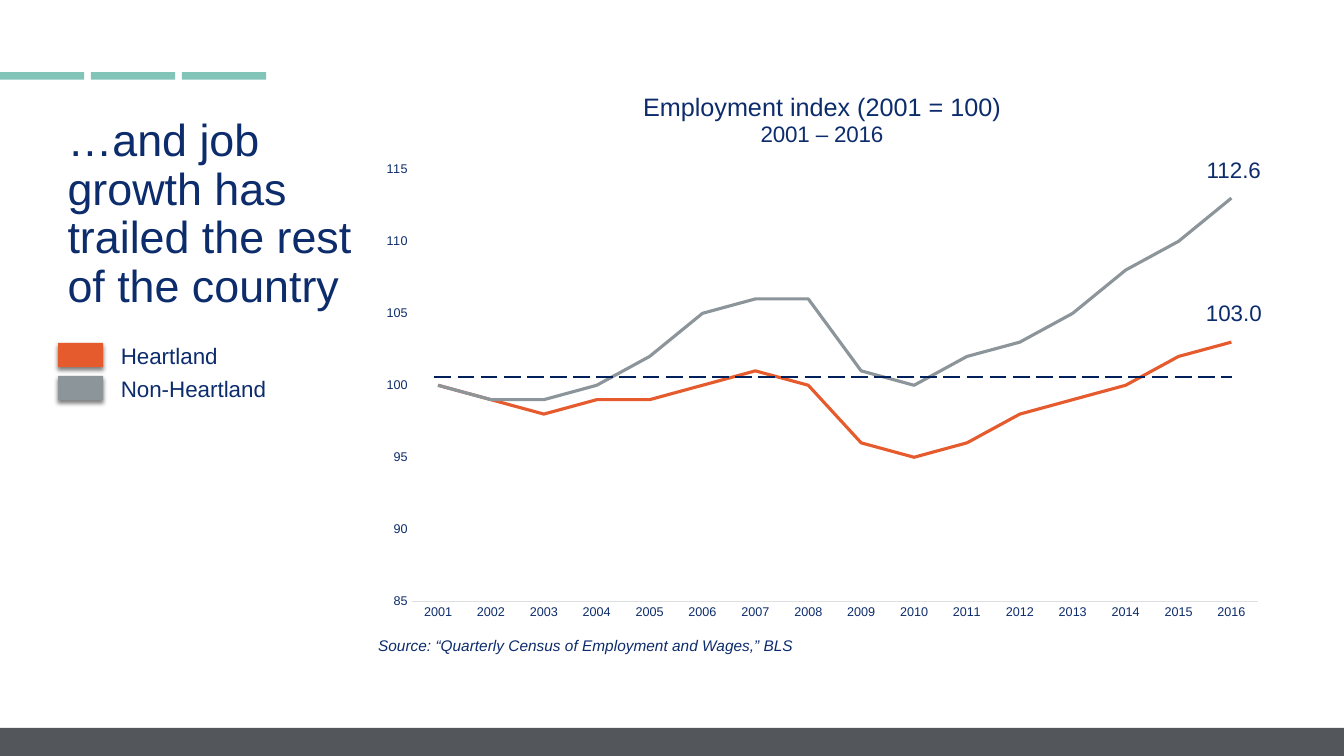
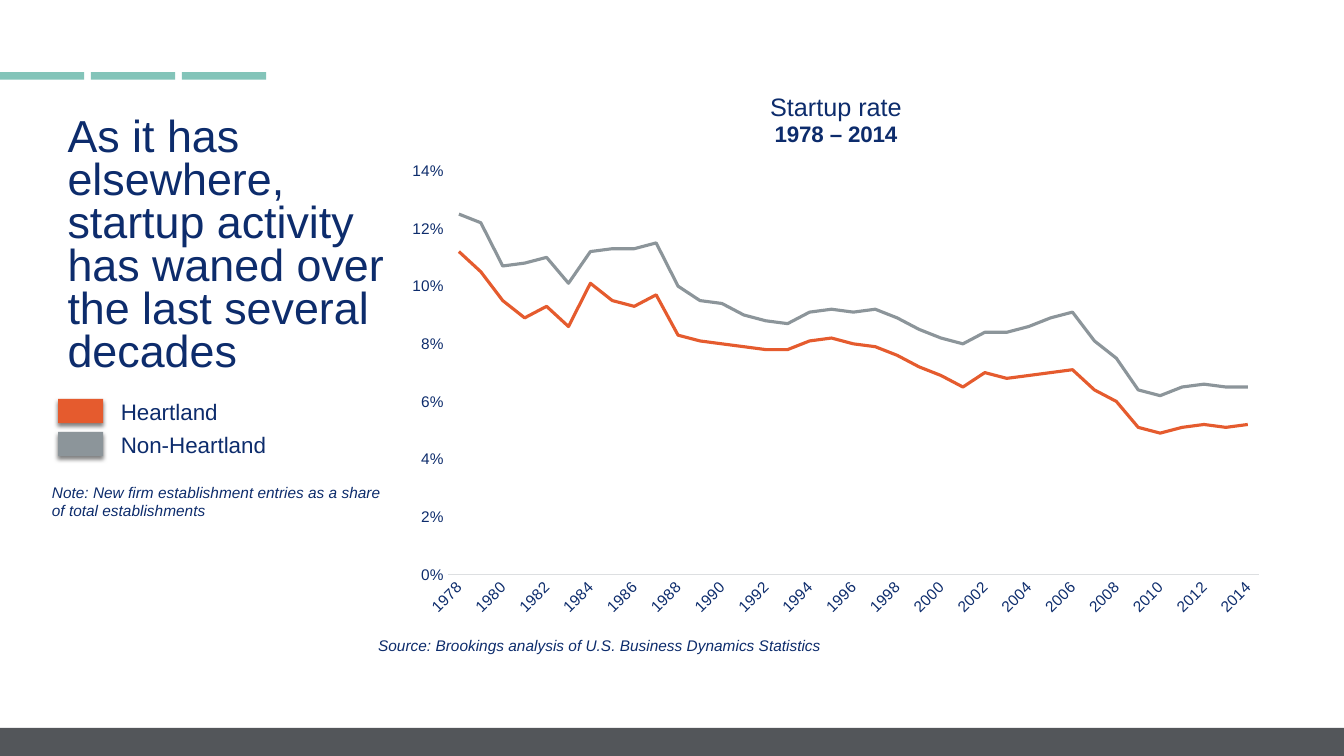
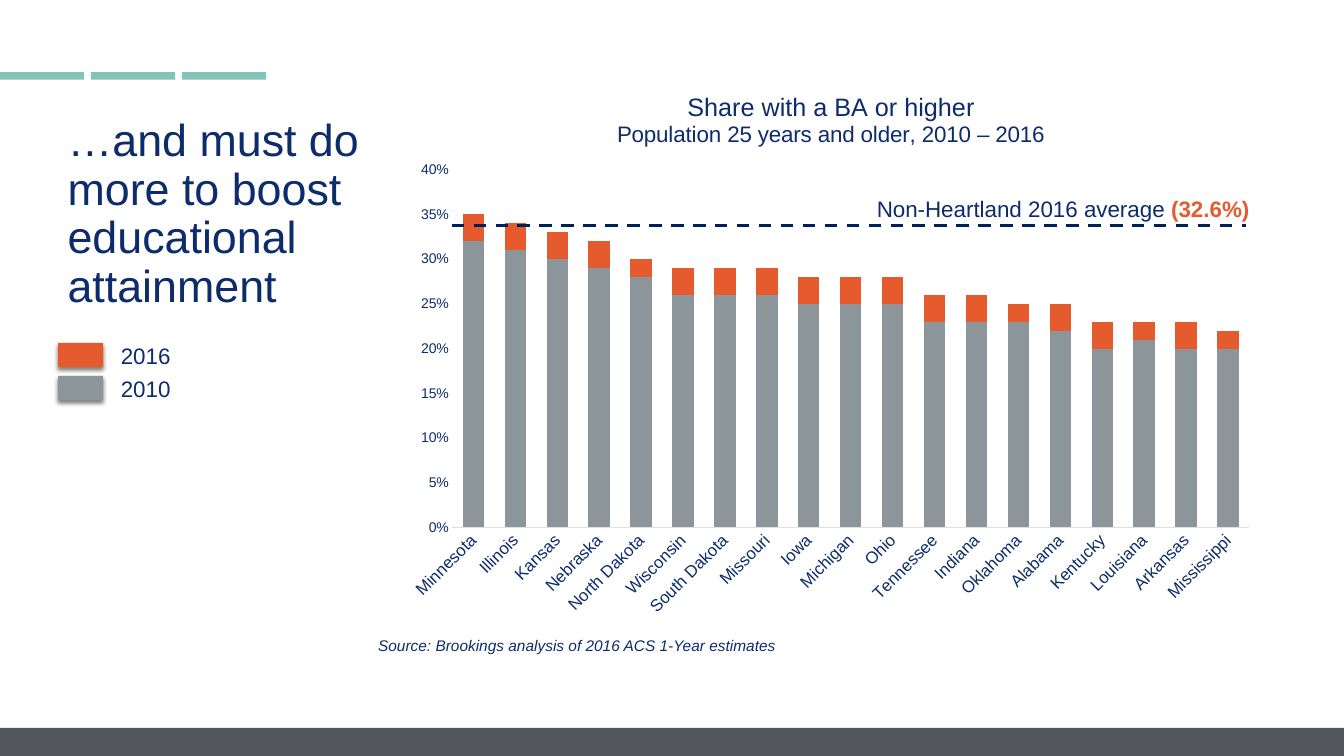
from lxml import etree
from pptx import Presentation
from pptx.chart.data import CategoryChartData
from pptx.dml.color import RGBColor
from pptx.enum.chart import XL_CHART_TYPE, XL_MARKER_STYLE, XL_TICK_MARK
from pptx.enum.dml import MSO_LINE
from pptx.enum.shapes import MSO_CONNECTOR, MSO_SHAPE
from pptx.enum.text import MSO_ANCHOR, PP_ALIGN
from pptx.oxml import parse_xml
from pptx.oxml.ns import nsdecls, qn
from pptx.util import Pt

RECTANGLE = MSO_SHAPE.RECTANGLE
STRAIGHT = MSO_CONNECTOR.STRAIGHT
LINE, STACKED = XL_CHART_TYPE.LINE, XL_CHART_TYPE.COLUMN_STACKED
NO_TICK, NO_MARKER = XL_TICK_MARK.NONE, XL_MARKER_STYLE.NONE
DASH, LONG_DASH = MSO_LINE.DASH, MSO_LINE.LONG_DASH
LEFT, CENTER = PP_ALIGN.LEFT, PP_ALIGN.CENTER
TOP, MIDDLE = MSO_ANCHOR.TOP, MSO_ANCHOR.MIDDLE

FONT = "Arial"
COLORS = {"text": "0D2C6C", "orange": "E55B2E", "gray": "8C959A", "teal": "83C4B9",
          "footer": "53565A", "axis": "DDDFE1", "dash": "00205B"}
SLIDE_WIDTH, SLIDE_HEIGHT = 960, 540


def rgb(name):
    return RGBColor.from_string(COLORS[name])


class Deck:
    def __init__(self):
        self.presentation = Presentation()
        self.presentation.slide_width = Pt(SLIDE_WIDTH)
        self.presentation.slide_height = Pt(SLIDE_HEIGHT)
        self.slide = None

    def new_slide(self, title, title_height, spacing, source):
        """Add a slide with the shared bars, title, source line and footer."""
        self.slide = self.presentation.slides.add_slide(self.presentation.slide_layouts[6])
        self.rectangle(0, 520, SLIDE_WIDTH, 20, "footer")
        for index in range(3):
            self.rectangle(65 * index, 51.5, 60.2, 5.4, "teal")
        self.text(title, 41.2, 80.8, 241.2, title_height, size=32, spacing=spacing)
        self.text(source, 263, 450.7, 489, 20.6, size=11, italic=True)

    def rectangle(self, left, top, width, height, color, shadow=False):
        shape = self.slide.shapes.add_shape(RECTANGLE, Pt(left), Pt(top), Pt(width), Pt(height))
        shape.fill.solid()
        shape.fill.fore_color.rgb = rgb(color)
        shape.line.fill.background()
        shape.shadow.inherit = False
        if shadow:
            effects = shape.element.spPr.find(qn("a:effectLst"))
            effects.append(parse_xml(
                f'<a:outerShdw {nsdecls("a")} blurRad="{Pt(3)}" dist="{Pt(2)}" dir="5400000" '
                'algn="ctr" rotWithShape="0"><a:srgbClr val="000000"><a:alpha val="50000"/>'
                '</a:srgbClr></a:outerShdw>'))

    def text(self, text, left, top, width, height, size=16, italic=False, align=LEFT,
             anchor=TOP, spacing=None, inset=None, highlight=None):
        box = self.slide.shapes.add_textbox(Pt(left), Pt(top), Pt(width), Pt(height))
        frame = box.text_frame
        frame.word_wrap = True
        frame.vertical_anchor = anchor
        if inset is not None:
            frame.margin_left = frame.margin_right = Pt(inset)
            frame.margin_top = frame.margin_bottom = Pt(inset)
        paragraph = frame.paragraphs[0]
        paragraph.alignment = align
        if spacing:
            paragraph.line_spacing = spacing
        self.style(paragraph.font, size, italic=italic)
        paragraph.add_run().text = text
        if highlight:
            run = paragraph.add_run()
            run.text = highlight
            run.font.bold = True
            run.font.color.rgb = rgb("orange")

    def style(self, font, size, bold=False, italic=False):
        font.name = FONT
        font.size = Pt(size)
        font.bold = bold
        font.italic = italic
        font.color.rgb = rgb("text")

    def legend(self, top, labels):
        for index, (label, color) in enumerate(zip(labels, ("orange", "gray"))):
            row_top = top + 23.5 * index
            self.rectangle(41.5, row_top + 5, 32.2, 17.3, color, shadow=True)
            self.text(label, 82, row_top, 180, 27.4, anchor=MIDDLE, inset=4.3)

    def dashed_line(self, start, end, y, width, dash):
        connector = self.slide.shapes.add_connector(STRAIGHT, Pt(start), Pt(y), Pt(end), Pt(y))
        connector.line.color.rgb = rgb("dash")
        connector.line.width = Pt(width)
        connector.line.dash_style = dash
        etree.SubElement(connector.element.spPr, qn("a:effectLst"))

    def chart(self, kind, frame, plot_frame, titles, categories, series, scale, number_format,
              sizes, subtitle_bold=False, slanted=False, label_step=1):
        """Frames are left, top, width, height; scale is minimum, maximum, step."""
        data = CategoryChartData(number_format=number_format)
        data.categories = categories
        for index, (values, _) in enumerate(series, 1):
            data.add_series(f"Series {index}", values)
        chart = self.slide.shapes.add_chart(kind, *map(Pt, frame), data).chart
        chart.has_legend = False
        self.style(chart.font, sizes[1])

        # Title in two lines
        chart.has_title = True
        title_frame = chart.chart_title.text_frame
        lines = zip(titles, (18, 16), (False, subtitle_bold))
        for index, (line, size, bold) in enumerate(lines):
            paragraph = title_frame.add_paragraph() if index else title_frame.paragraphs[0]
            run = paragraph.add_run()
            run.text = line
            self.style(run.font, size, bold)

        # Axes
        category_axis, value_axis = chart.category_axis, chart.value_axis
        for axis, size in zip((category_axis, value_axis), sizes):
            axis.major_tick_mark = axis.minor_tick_mark = NO_TICK
            axis.has_major_gridlines = False
            self.style(axis.tick_labels.font, size)
        category_axis.format.line.color.rgb = rgb("axis")
        category_axis.format.line.width = Pt(0.75)
        value_axis.format.line.fill.background()
        value_axis.minimum_scale, value_axis.maximum_scale, value_axis.major_unit = scale
        value_axis.tick_labels.number_format = number_format
        value_axis.tick_labels.number_format_is_linked = False

        # Series
        plot = chart.plots[0]
        plot.vary_by_categories = False
        for item, (_, color) in zip(plot.series, series):
            if kind == LINE:
                item.smooth = False
                item.marker.style = NO_MARKER
                item.format.line.color.rgb = rgb(color)
                item.format.line.width = Pt(2.25)
            else:
                item.format.fill.solid()
                item.format.fill.fore_color.rgb = rgb(color)
        if kind == STACKED:
            plot.gap_width, plot.overlap = 96, 100

        # Label angle, label step and plot position
        plot_area = chart.element.xpath("c:chart/c:plotArea")[0]
        axis_element = plot_area.find(qn("c:catAx"))
        if slanted:
            axis_element.xpath("c:txPr/a:bodyPr")[0].set("rot", "-2700000")
        if label_step > 1:
            skip = parse_xml(f'<c:tickLblSkip {nsdecls("c")} val="{label_step}"/>')
            axis_element.find(qn("c:noMultiLvlLbl")).addprevious(skip)
        for layout in plot_area.findall(qn("c:layout")):
            plot_area.remove(layout)
        left, top, width, height = frame
        plot_left, plot_top, plot_width, plot_height = plot_frame
        fractions = {"x": (plot_left - left) / width, "y": (plot_top - top) / height,
                     "w": plot_width / width, "h": plot_height / height}
        places = "".join(f'<c:{key} val="{value:.4f}"/>' for key, value in fractions.items())
        plot_area.insert(0, parse_xml(
            f'<c:layout {nsdecls("c")}><c:manualLayout><c:layoutTarget val="inner"/>'
            f'<c:xMode val="edge"/><c:yMode val="edge"/>{places}</c:manualLayout></c:layout>'))


def percent(values):
    return [round(value / 100, 3) for value in values]


def employment_slide(deck):
    heartland = [100, 99, 98, 99, 99, 100, 101, 100, 96, 95, 96, 98, 99, 100, 102, 103]
    others = [100, 99, 99, 100, 102, 105, 106, 106, 101, 100, 102, 103, 105, 108, 110, 113]
    deck.new_slide("…and job growth has trailed the rest of the country", 149, 0.9,
                   "Source: “Quarterly Census of Employment and Wages,” BLS")
    deck.chart(LINE, (262.8, 51.6, 648.7, 398.9), (294, 121, 604.5, 308.6),
               ("Employment index (2001 = 100)", "2001 – 2016"),
               [str(year) for year in range(2001, 2017)],
               [(heartland, "orange"), (others, "gray")], (85, 115, 5), "General", (9, 9))
    for value, top in (("112.6", 108), ("103.0", 210.2)):
        deck.text(value, 850.3, top, 62, 26.6, align=CENTER)
    deck.dashed_line(310.3, 880, 269.3, 1.5, LONG_DASH)
    deck.legend(240, ("Heartland", "Non-Heartland"))


def startup_slide(deck):
    heartland = [11.2, 10.5, 9.5, 8.9, 9.3, 8.6, 10.1, 9.5, 9.3, 9.7, 8.3, 8.1, 8, 7.9, 7.8,
                 7.8, 8.1, 8.2, 8, 7.9, 7.6, 7.2, 6.9, 6.5, 7, 6.8, 6.9, 7, 7.1, 6.4, 6,
                 5.1, 4.9, 5.1, 5.2, 5.1, 5.2]
    others = [12.5, 12.2, 10.7, 10.8, 11, 10.1, 11.2, 11.3, 11.3, 11.5, 10, 9.5, 9.4, 9, 8.8,
              8.7, 9.1, 9.2, 9.1, 9.2, 8.9, 8.5, 8.2, 8, 8.4, 8.4, 8.6, 8.9, 9.1, 8.1, 7.5,
              6.4, 6.2, 6.5, 6.6, 6.5, 6.5]
    deck.new_slide("As it has elsewhere, startup activity has waned over the last several decades",
                   203, 0.8, "Source: Brookings analysis of U.S. Business Dynamics Statistics")
    deck.legend(280, ("Heartland", "Non-Heartland"))
    deck.chart(LINE, (282.2, 51.6, 630, 396.7), (320, 122.1, 579.2, 288.3),
               ("Startup rate", "1978 – 2014"), [str(year) for year in range(1978, 2015)],
               [(percent(heartland), "orange"), (percent(others), "gray")],
               (0, 0.14, 0.02), "0%", (11, 11), subtitle_bold=True, slanted=True, label_step=2)
    deck.text("Note: New firm establishment entries as a share of total establishments",
              30, 341.5, 252, 34, size=11, italic=True)


def education_slide(deck):
    states = ["Minnesota", "Illinois", "Kansas", "Nebraska", "North Dakota", "Wisconsin",
              "South Dakota", "Missouri", "Iowa", "Michigan", "Ohio", "Tennessee", "Indiana",
              "Oklahoma", "Alabama", "Kentucky", "Louisiana", "Arkansas", "Mississippi"]
    share_2010 = [32, 31, 30, 29, 28, 26, 26, 26, 25, 25, 25, 23, 23, 23, 22, 20, 21, 20, 20]
    gain_by_2016 = [3, 3, 3, 3, 2, 3, 3, 3, 3, 3, 3, 3, 3, 2, 3, 3, 2, 3, 2]
    deck.new_slide("…and must do more to boost educational attainment", 149, 0.9,
                   "Source: Brookings analysis of 2016 ACS 1-Year estimates")
    deck.chart(STACKED, (282.2, 51.6, 622.8, 396.7), (323.2, 121.2, 569, 255.6),
               ("Share with a BA or higher", "Population 25 years and older, 2010 – 2016"),
               states, [(percent(share_2010), "gray"), (percent(gain_by_2016), "orange")],
               (0, 0.4, 0.05), "0%", (12, 10), slanted=True)
    deck.dashed_line(322.6, 890, 161.1, 2.25, DASH)
    deck.text("Non-Heartland 2016 average ", 619.2, 136, 283.7, 34, highlight="(32.6%)")
    deck.legend(240, ("2016", "2010"))


def main():
    deck = Deck()
    employment_slide(deck)
    startup_slide(deck)
    education_slide(deck)
    deck.presentation.save("out.pptx")


if __name__ == "__main__":
    main()
